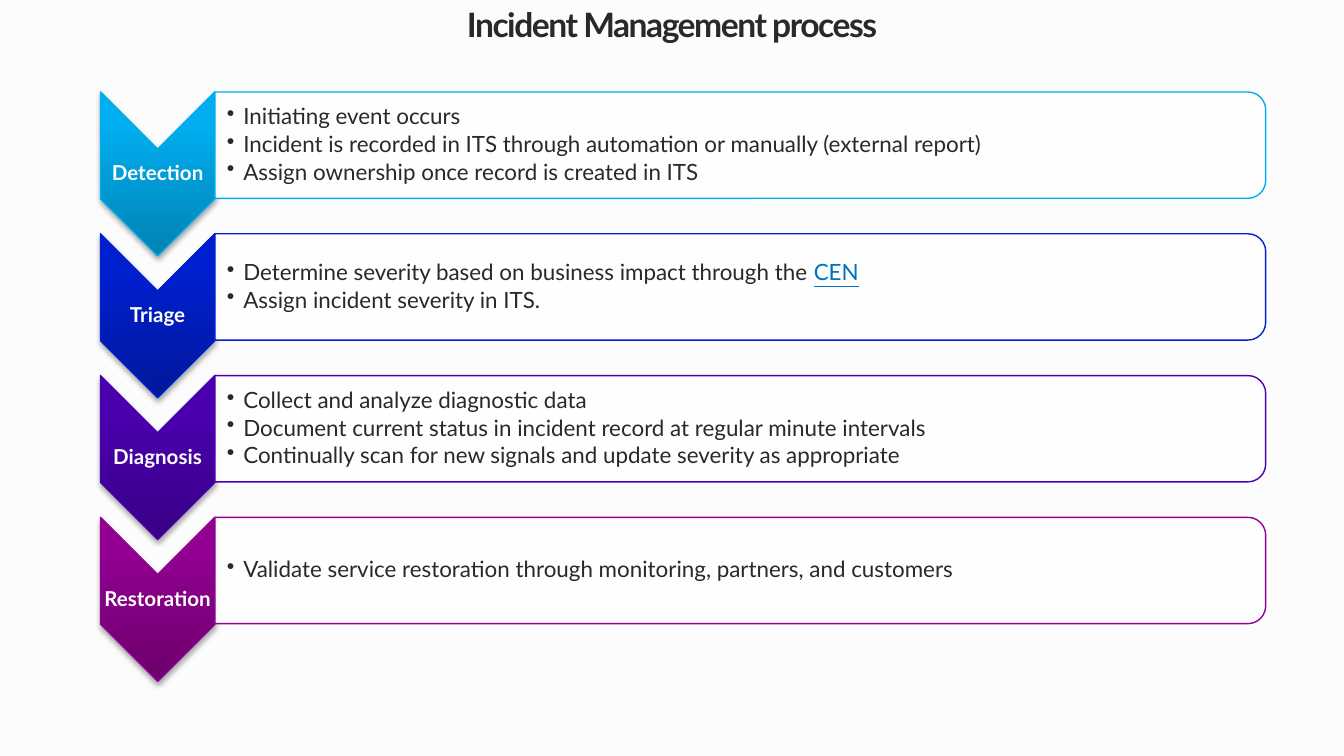
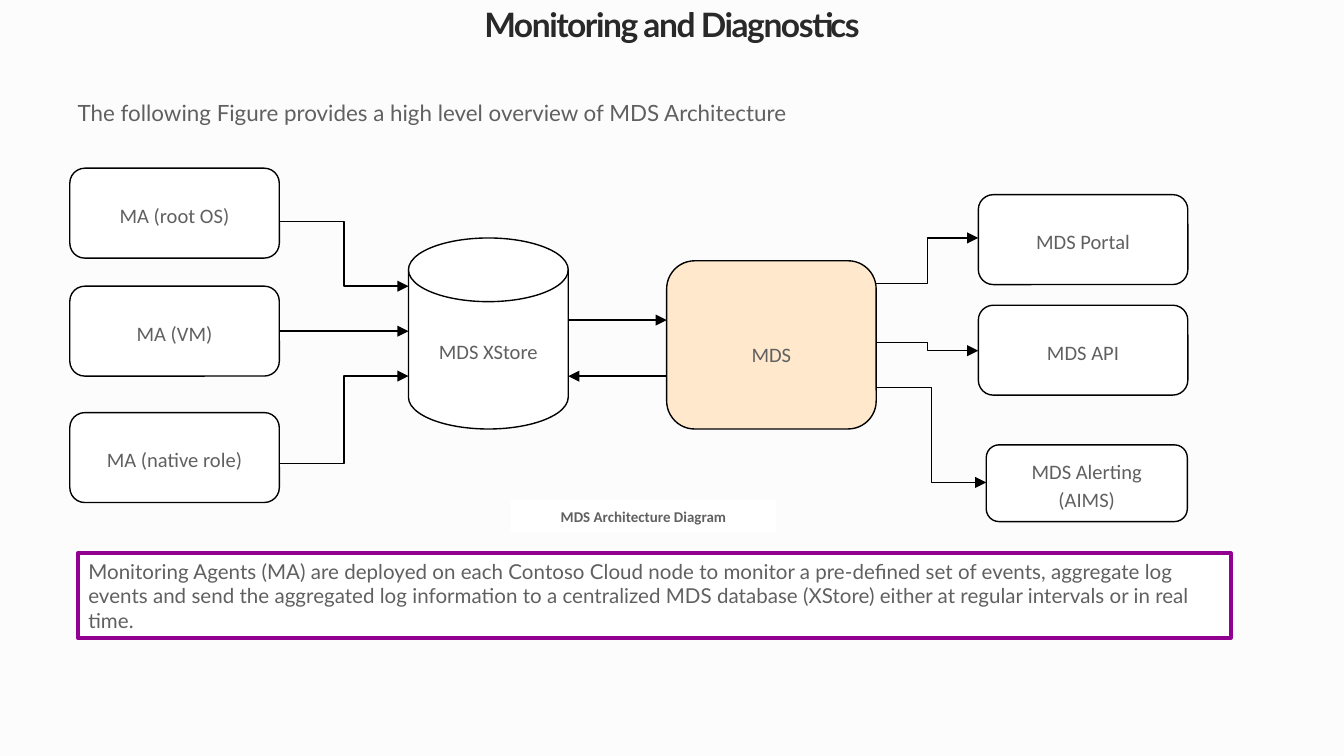
from dataclasses import dataclass
from typing import NamedTuple

from lxml import etree
from pptx import Presentation
from pptx.dml.color import RGBColor
from pptx.enum.shapes import MSO_CONNECTOR, MSO_SHAPE
from pptx.enum.text import MSO_ANCHOR, MSO_AUTO_SIZE, PP_ALIGN
from pptx.oxml.ns import qn
from pptx.util import Cm, Pt

CHEVRON = MSO_SHAPE.CHEVRON
PANEL = MSO_SHAPE.ROUND_2_SAME_RECTANGLE
ROUNDED = MSO_SHAPE.ROUNDED_RECTANGLE
RECTANGLE = MSO_SHAPE.RECTANGLE
DISK = MSO_SHAPE.FLOWCHART_MAGNETIC_DISK
STRAIGHT = MSO_CONNECTOR.STRAIGHT
ELBOW = MSO_CONNECTOR.ELBOW
LEFT, CENTER = PP_ALIGN.LEFT, PP_ALIGN.CENTER
TOP, MIDDLE = MSO_ANCHOR.TOP, MSO_ANCHOR.MIDDLE
FIT_SHAPE = MSO_AUTO_SIZE.SHAPE_TO_FIT_TEXT

LATO, CALIBRI = "Lato", "Calibri"
PAPER, WHITE, BLACK = "FCFCFC", "FFFFFF", "000000"
INK, GRAY, LINK_BLUE = "292929", "606060", "0071BC"
PURPLE, PEACH = "910091", "FFE8CC"
LINK_TEXT = "CEN"


class Area(NamedTuple):
    left: float
    top: float
    width: float
    height: float

    def lengths(self) -> tuple:
        return tuple(Cm(value) for value in self)

    def turned(self) -> "Area":
        shift = (self.width - self.height) / 2
        return Area(self.left + shift, self.top - shift, self.height, self.width)


class Insets(NamedTuple):
    left: float
    top: float
    right: float
    bottom: float


THIN = Insets(0.03, 0.03, 0.03, 0.03)
LIST_INSETS = Insets(0.23, 0.03, 0.03, 0.03)
NARROW = Insets(0.2, 0.1, 0.2, 0.1)
NORMAL = Insets(0.25, 0.13, 0.25, 0.13)
LOWERED = Insets(0.25, 0.5, 0.25, 0.13)


@dataclass(frozen=True)
class TextStyle:
    font: str
    size: float
    color: str
    bold: bool = False
    align: PP_ALIGN = LEFT
    anchor: MSO_ANCHOR = TOP
    spacing: float = 1.0
    insets: Insets = NARROW


TITLE = TextStyle(LATO, 18, INK, True, CENTER, MIDDLE, 0.9, Insets(0, 0, 0, 0))
STAGE_LABEL = TextStyle(LATO, 11, WHITE, True, CENTER, MIDDLE, 0.9, THIN)
STAGE_LIST = TextStyle(LATO, 12, INK, anchor=MIDDLE, spacing=0.9, insets=LIST_INSETS)
INTRO = TextStyle(LATO, 12, GRAY)
NOTE = TextStyle(LATO, 11, GRAY)
NODE = TextStyle(CALIBRI, 11, GRAY, False, CENTER, MIDDLE, 1.15, NORMAL)
CORE = TextStyle(CALIBRI, 11, GRAY, False, CENTER, MIDDLE, 1.0, LOWERED)
CAPTION = TextStyle(CALIBRI, 8, GRAY, True, CENTER, TOP, 1.15)


@dataclass(frozen=True)
class Stage:
    name: str
    bright: str
    dark: str
    steps: tuple[str, ...]


STAGES = (
    Stage("Detection", "00AEEF", "0082B2", (
        "Initiating event occurs",
        "Incident is recorded in ITS through automation or manually (external report)",
        "Assign ownership once record is created in ITS",
    )),
    Stage("Triage", "0020D0", "00189B", (
        "Determine severity based on business impact through the CEN",
        "Assign incident severity in ITS.",
    )),
    Stage("Diagnosis", "4B00B0", "380084", (
        "Collect and analyze diagnostic data",
        "Document current status in incident record at regular minute intervals",
        "Continually scan for new signals and update severity as appropriate",
    )),
    Stage("Restoration", PURPLE, "6C006C", (
        "Validate service restoration through monitoring, partners, and customers",
    )),
)
STAGE_TOP, STAGE_PITCH = 1.74, 2.68


@dataclass(frozen=True)
class Node:
    text: str
    area: Area
    preset: MSO_SHAPE = ROUNDED
    fill: str = WHITE
    style: TextStyle = NODE


AGENT_LEFT, OUTPUT_LEFT, NODE_WIDTH, NODE_HEIGHT = 1.32, 18.49, 3.96, 1.7
VM = "MA (VM)"
NODES = (
    Node("MA (root OS)", Area(AGENT_LEFT, 3.18, NODE_WIDTH, NODE_HEIGHT)),
    Node(VM, Area(AGENT_LEFT, 5.41, NODE_WIDTH, NODE_HEIGHT)),
    Node("MA (native role)", Area(AGENT_LEFT, 7.8, NODE_WIDTH, NODE_HEIGHT)),
    Node("MDS", Area(12.6, 4.93, NODE_WIDTH, 3.18), fill=PEACH, style=CORE),
    Node("MDS XStore", Area(7.72, 4.5, 3.02, 3.61), DISK),
    Node("MDS Portal", Area(OUTPUT_LEFT, 3.68, NODE_WIDTH, NODE_HEIGHT)),
    Node("MDS API", Area(OUTPUT_LEFT, 5.77, NODE_WIDTH, NODE_HEIGHT)),
    Node("MDS Alerting (AIMS)", Area(18.64, 8.41, 3.8, 1.45)),
)


class Arrow(NamedTuple):
    start_x: float
    start_y: float
    end_x: float
    end_y: float
    source: str = ""


AGENT_RIGHT, STORE_LEFT, STORE_RIGHT, CORE_LEFT, CORE_RIGHT = 5.28, 7.72, 10.74, 12.6, 16.56
ARROWS = (
    Arrow(AGENT_RIGHT, 4.19, STORE_LEFT, 5.41),
    Arrow(AGENT_RIGHT, 6.26, STORE_LEFT, 6.26, VM),
    Arrow(AGENT_RIGHT, 8.76, STORE_LEFT, 7.11),
    Arrow(STORE_RIGHT, 6.05, CORE_LEFT, 6.05),
    Arrow(CORE_LEFT, 7.11, STORE_RIGHT, 7.11),
    Arrow(CORE_RIGHT, 5.36, OUTPUT_LEFT, 4.5),
    Arrow(CORE_RIGHT, 6.48, OUTPUT_LEFT, 6.63),
    Arrow(CORE_RIGHT, 7.32, 18.64, 9.12),
)


def rgb(value: str) -> RGBColor:
    return RGBColor.from_string(value)


def add_element(parent, tag: str, **attributes: str):
    return etree.SubElement(parent, qn(tag), attributes)


def format_paragraph(para, style: TextStyle) -> None:
    para.alignment = style.align
    para.line_spacing = style.spacing
    para.font.name = style.font
    para.font.size = Pt(style.size)
    para.font.bold = style.bold
    para.font.color.rgb = rgb(style.color)


def prepare_frame(shape, style: TextStyle):
    frame = shape.text_frame
    frame.word_wrap = True
    frame.vertical_anchor = style.anchor
    frame.margin_left, frame.margin_top, frame.margin_right, frame.margin_bottom = (
        Cm(value) for value in style.insets
    )
    return frame


def write(shape, text: str, style: TextStyle):
    frame = prepare_frame(shape, style)
    frame.text = text
    format_paragraph(frame.paragraphs[0], style)
    return frame


def write_list(shape, items: tuple[str, ...], style: TextStyle) -> None:
    frame = prepare_frame(shape, style)
    for index, item in enumerate(items):
        para = frame.add_paragraph() if index else frame.paragraphs[0]
        before, link, after = item.partition(LINK_TEXT)
        para.add_run().text = before
        if link:
            span = para.add_run()
            span.text = link
            span.font.underline = True
            span.font.color.rgb = rgb(LINK_BLUE)
        if after:
            para.add_run().text = after
        para.space_after = Pt(1.8)
        properties = para._p.get_or_add_pPr()
        properties.set("marL", str(Cm(0.31)))
        properties.set("indent", str(Cm(-0.31)))
        add_element(properties, "a:buChar", char="•")
        format_paragraph(para, style)


def add_box(page, preset: MSO_SHAPE, area: Area, fill: str, line: str = "", width: float = 0.75):
    box = page.shapes.add_shape(preset, *area.lengths())
    box.shadow.inherit = False
    box.fill.solid()
    box.fill.fore_color.rgb = rgb(fill)
    if line:
        box.line.color.rgb = rgb(line)
        box.line.width = Pt(width)
    else:
        box.line.fill.background()
    return box


def add_textbox(page, area: Area):
    return page.shapes.add_textbox(*area.lengths())


def add_page(deck, title: str):
    page = deck.slides.add_slide(deck.slide_layouts[5])
    heading = page.shapes.title
    heading.left, heading.top, heading.width, heading.height = Area(1.27, 0.15, 22.86, 0.69).lengths()
    frame = write(heading, title, TITLE)
    frame.auto_size = FIT_SHAPE
    frame.paragraphs[0].runs[0]._r.get_or_add_rPr().set("spc", "-80")
    return page


def add_chevron(page, area: Area, stage: Stage) -> None:
    chevron = add_box(page, CHEVRON, area.turned(), stage.bright, stage.bright)
    chevron.rotation = 90
    chevron.fill.gradient()
    chevron.fill.gradient_angle = 90
    for stop, color, position in zip(chevron.fill.gradient_stops, (stage.dark, stage.bright), (0, 0.8)):
        stop.color.rgb = rgb(color)
        stop.position = position
    properties = chevron._element.spPr
    properties.find(qn("a:gradFill")).set("rotWithShape", "0")
    shadow = add_element(
        properties.find(qn("a:effectLst")), "a:outerShdw",
        blurRad=str(Pt(3.1)), dist=str(Pt(1.8)), dir="5400000", rotWithShape="0",
    )
    add_element(add_element(shadow, "a:srgbClr", val=BLACK), "a:alpha", val="35000")


def add_stage(page, stage: Stage, top: float) -> None:
    add_chevron(page, Area(1.9, top, 2.16, 3.1), stage)
    write(add_textbox(page, Area(1.9, top + 1.09, 2.16, 0.92)), stage.name, STAGE_LABEL)
    panel = add_box(page, PANEL, Area(4.06, top, 19.86, 2.01).turned(), WHITE, stage.bright)
    panel.rotation = 90
    color = panel._element.spPr.find(qn("a:solidFill")).find(qn("a:srgbClr"))
    add_element(color, "a:alpha", val="90000")
    write_list(add_textbox(page, Area(4.06, top + 0.1, 19.76, 1.81)), stage.steps, STAGE_LIST)


def add_arrow(page, arrow: Arrow, boxes: dict) -> None:
    kind = STRAIGHT if arrow.start_y == arrow.end_y else ELBOW
    connector = page.shapes.add_connector(kind, *(Cm(value) for value in arrow[:4]))
    if arrow.source:
        connector.begin_connect(boxes[arrow.source], 3)
    connector.line.color.rgb = rgb(BLACK)
    connector.line.width = Pt(0.75)
    add_element(connector.line._get_or_add_ln(), "a:tailEnd", type="triangle")
    add_element(connector._element.spPr, "a:effectLst")


def build_process(deck) -> None:
    page = add_page(deck, "Incident Management process")
    for index, stage in enumerate(STAGES):
        add_stage(page, stage, STAGE_TOP + index * STAGE_PITCH)


def build_monitoring(deck) -> None:
    page = add_page(deck, "Monitoring and Diagnostics")
    intro = add_textbox(page, Area(1.27, 1.78, 21.79, 0.71))
    write(intro, "The following Figure provides a high level overview of MDS Architecture", INTRO)
    boxes = {}
    for node in NODES:
        boxes[node.text] = add_box(page, node.preset, node.area, node.fill, BLACK)
        write(boxes[node.text], node.text, node.style)
    for arrow in ARROWS:
        add_arrow(page, arrow, boxes)
    write(add_box(page, RECTANGLE, Area(9.65, 9.45, 5.03, 0.61), WHITE), "MDS Architecture Diagram", CAPTION)
    note = add_box(page, RECTANGLE, Area(1.47, 10.46, 21.79, 1.6), WHITE, PURPLE, 2)
    write(note, "Monitoring Agents (MA) are deployed on each Contoso Cloud node to monitor a pre-defined set of "
          "events, aggregate log events and send the aggregated log information to a centralized MDS database "
          "(XStore) either at regular intervals or in real time.", NOTE)


def main() -> None:
    deck = Presentation()
    deck.slide_width, deck.slide_height = Cm(25.4), Cm(14.29)
    paper = deck.slide_master.background.fill
    paper.solid()
    paper.fore_color.rgb = rgb(PAPER)
    build_process(deck)
    build_monitoring(deck)
    deck.save("out.pptx")


if __name__ == "__main__":
    main()
